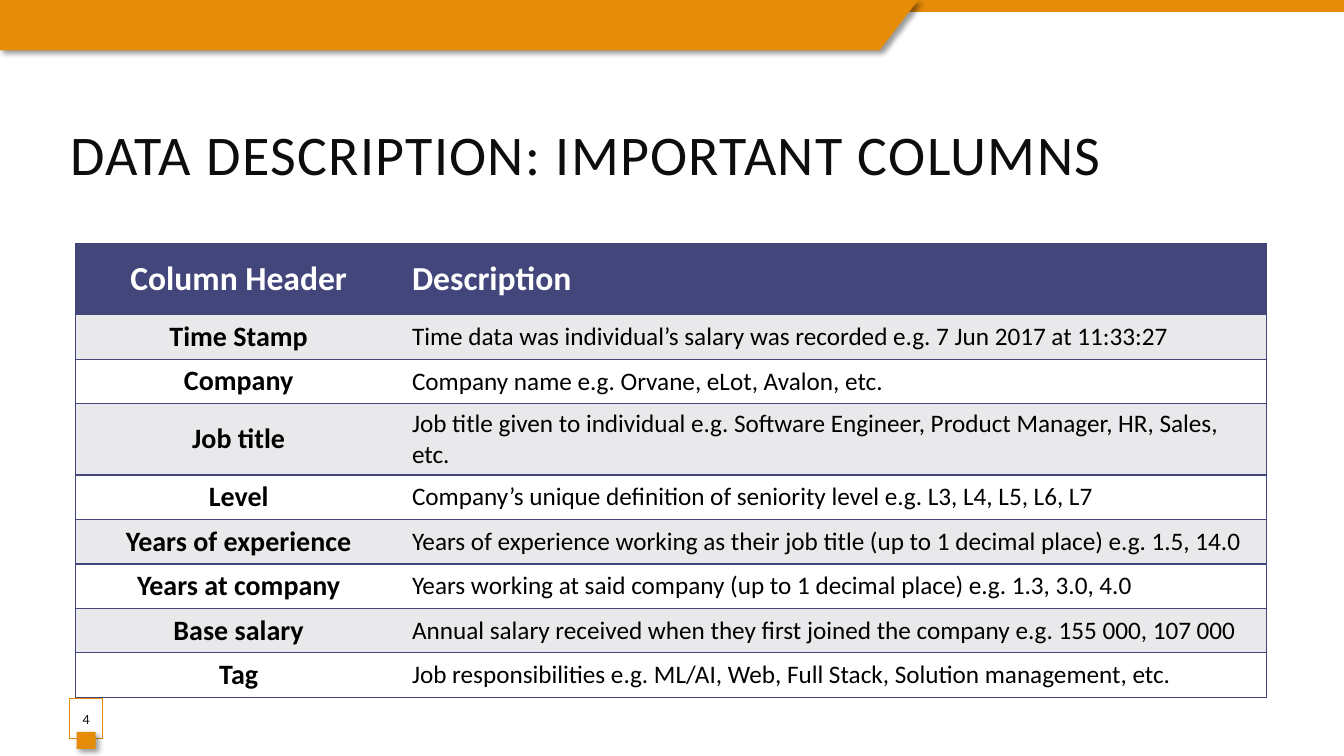
from lxml import etree
from pptx import Presentation
from pptx.dml.color import RGBColor
from pptx.enum.shapes import MSO_SHAPE
from pptx.enum.text import MSO_ANCHOR, PP_ALIGN
from pptx.oxml.ns import qn
from pptx.util import Cm, Pt

RECTANGLE = MSO_SHAPE.RECTANGLE
LEFT, CENTER = PP_ALIGN.LEFT, PP_ALIGN.CENTER
MIDDLE, BOTTOM = MSO_ANCHOR.MIDDLE, MSO_ANCHOR.BOTTOM

FONT = "Calibri"
ORANGE, NAVY, GREY, WHITE = "E58C09", "43467B", "E9E9EC", "FFFFFF"
BLACK, INK = "000000", "0D0D0D"

TITLE = "DATA DESCRIPTION: IMPORTANT COLUMNS"
PAGE_NUMBER = "4"
HEADER = ("Column Header", "Description")
ROWS = [
    ("Time Stamp", "Time data was individual’s salary was recorded e.g. 7 Jun 2017 at 11:33:27"),
    ("Company", "Company name e.g. Orvane, eLot, Avalon, etc."),
    ("Job title", "Job title given to individual e.g. Software Engineer, Product Manager, HR, Sales, etc."),
    ("Level", "Company’s unique definition of seniority level e.g. L3, L4, L5, L6, L7"),
    ("Years of experience", "Years of experience working as their job title (up to 1 decimal place) e.g. 1.5, 14.0"),
    ("Years at company", "Years working at said company (up to 1 decimal place) e.g. 1.3, 3.0, 4.0"),
    ("Base salary", "Annual salary received when they first joined the company e.g. 155 000, 107 000"),
    ("Tag", "Job responsibilities e.g. ML/AI, Web, Full Stack, Solution management, etc."),
]
TWO_LINE_ROWS = {"Job title"}

SLIDE_WIDTH, SLIDE_HEIGHT = 33.87, 19.05
BANNER_POINTS = [(0, 0), (23.14, 0), (22.17, 1.27), (0, 1.27)]
TABLE_LEFT, TABLE_TOP = 1.9, 6.15
COLUMN_WIDTHS = (8.23, 21.79)
HEADER_HEIGHT, ROW_HEIGHT, TWO_LINE_HEIGHT = 1.78, 1.12, 1.8


def rgb(color):
    """Turn a hex string into a colour."""
    return RGBColor.from_string(color)


def paint(shape, fill, line=None):
    """Give a shape a solid fill and an optional thin outline, no shadow."""
    shape.shadow.inherit = False
    shape.fill.solid()
    shape.fill.fore_color.rgb = rgb(fill)
    if line:
        shape.line.color.rgb = rgb(line)
        shape.line.width = Pt(0.75)
    else:
        shape.line.fill.background()


def add_rectangle(slide, left, top, width, height, fill, line=None):
    """Add a painted rectangle."""
    shape = slide.shapes.add_shape(RECTANGLE, Cm(left), Cm(top), Cm(width), Cm(height))
    paint(shape, fill, line)
    return shape


def add_alpha(parent, percent):
    """Set the opacity of the colour element inside parent."""
    color = parent.find(".//" + qn("a:srgbClr"))
    etree.SubElement(color, qn("a:alpha"), val=str(percent * 1000))


def add_shadow(shape):
    """Cast a soft black shadow to the lower right."""
    effects = shape._element.spPr.find(qn("a:effectLst"))
    shadow = etree.SubElement(effects, qn("a:outerShdw"), blurRad=str(Pt(4)),
                              dist=str(Pt(3)), dir=str(45 * 60000), rotWithShape="0")
    etree.SubElement(shadow, qn("a:srgbClr"), val=BLACK)
    add_alpha(shadow, 40)


def write(text_frame, text, size, color, align=LEFT, bold=False):
    """Write one formatted paragraph and return its run."""
    text_frame.text = text
    paragraph = text_frame.paragraphs[0]
    paragraph.alignment = align
    run = paragraph.runs[0]
    run.font.name = FONT
    run.font.size = Pt(size)
    run.font.bold = bold
    run.font.color.rgb = rgb(color)
    return run


def add_banner(slide):
    """Draw the thin strip and the slanted banner along the top edge."""
    add_rectangle(slide, 0, 0, SLIDE_WIDTH, 0.3, ORANGE)
    points = [(Cm(x), Cm(y)) for x, y in BANNER_POINTS]
    builder = slide.shapes.build_freeform(*points[0])
    builder.add_line_segments(points[1:], close=True)
    banner = builder.convert_to_shape()
    paint(banner, ORANGE)
    add_shadow(banner)


def add_title(slide):
    """Add the slide title with slightly spaced letters."""
    box = slide.shapes.add_textbox(Cm(1.52), Cm(2.74), Cm(30.02), Cm(1.96))
    frame = box.text_frame
    frame.word_wrap = True
    frame.vertical_anchor = BOTTOM
    frame.margin_bottom = 0
    run = write(frame, TITLE, 40, INK)
    run.font._element.set("spc", "100")


def add_page_number(slide):
    """Add the outlined page number and its small orange tab."""
    box = add_rectangle(slide, 1.75, 17.6, 0.84, 1.02, WHITE, ORANGE)
    add_alpha(box._element.spPr.find(qn("a:solidFill")), 82)
    frame = box.text_frame
    frame.margin_left = frame.margin_right = 0
    frame.vertical_anchor = MIDDLE
    write(frame, PAGE_NUMBER, 10, INK, CENTER)
    add_shadow(add_rectangle(slide, 1.93, 18.44, 0.48, 0.43, ORANGE))


def set_borders(cell, visible):
    """Draw navy lines on the visible sides and none on the others."""
    properties = cell._tc.get_or_add_tcPr()
    for side in "LRTB":
        line = etree.SubElement(properties, qn("a:ln" + side), w=str(Pt(1)))
        if side in visible:
            fill = etree.SubElement(line, qn("a:solidFill"))
            etree.SubElement(fill, qn("a:srgbClr"), val=NAVY)
        else:
            etree.SubElement(line, qn("a:noFill"))


def add_description_table(slide):
    """Add the table of column names and their descriptions."""
    heights = [HEADER_HEIGHT] + [
        TWO_LINE_HEIGHT if name in TWO_LINE_ROWS else ROW_HEIGHT for name, _ in ROWS]
    table = slide.shapes.add_table(
        len(heights), len(COLUMN_WIDTHS), Cm(TABLE_LEFT), Cm(TABLE_TOP),
        Cm(sum(COLUMN_WIDTHS)), Cm(sum(heights))).table
    table.first_row = table.horz_banding = False
    for column, width in zip(table.columns, COLUMN_WIDTHS):
        column.width = Cm(width)
    for row_index, texts in enumerate([HEADER] + ROWS):
        table.rows[row_index].height = Cm(heights[row_index])
        is_header = row_index == 0
        fill = NAVY if is_header else (WHITE, GREY)[row_index % 2]
        for column_index, text in enumerate(texts):
            is_name = column_index == 0
            cell = table.cell(row_index, column_index)
            cell.vertical_anchor = MIDDLE
            set_borders(cell, "LTB" if is_name else "RTB")
            cell.fill.solid()
            cell.fill.fore_color.rgb = rgb(fill)
            size = 24 if is_header else 20 if is_name else 18
            write(cell.text_frame, text, size, WHITE if is_header else BLACK,
                  CENTER if is_name else LEFT, bold=is_header or is_name)


presentation = Presentation()
presentation.slide_width = Cm(SLIDE_WIDTH)
presentation.slide_height = Cm(SLIDE_HEIGHT)
slide = presentation.slides.add_slide(presentation.slide_layouts[6])
add_banner(slide)
add_title(slide)
add_page_number(slide)
add_description_table(slide)
presentation.save("out.pptx")
